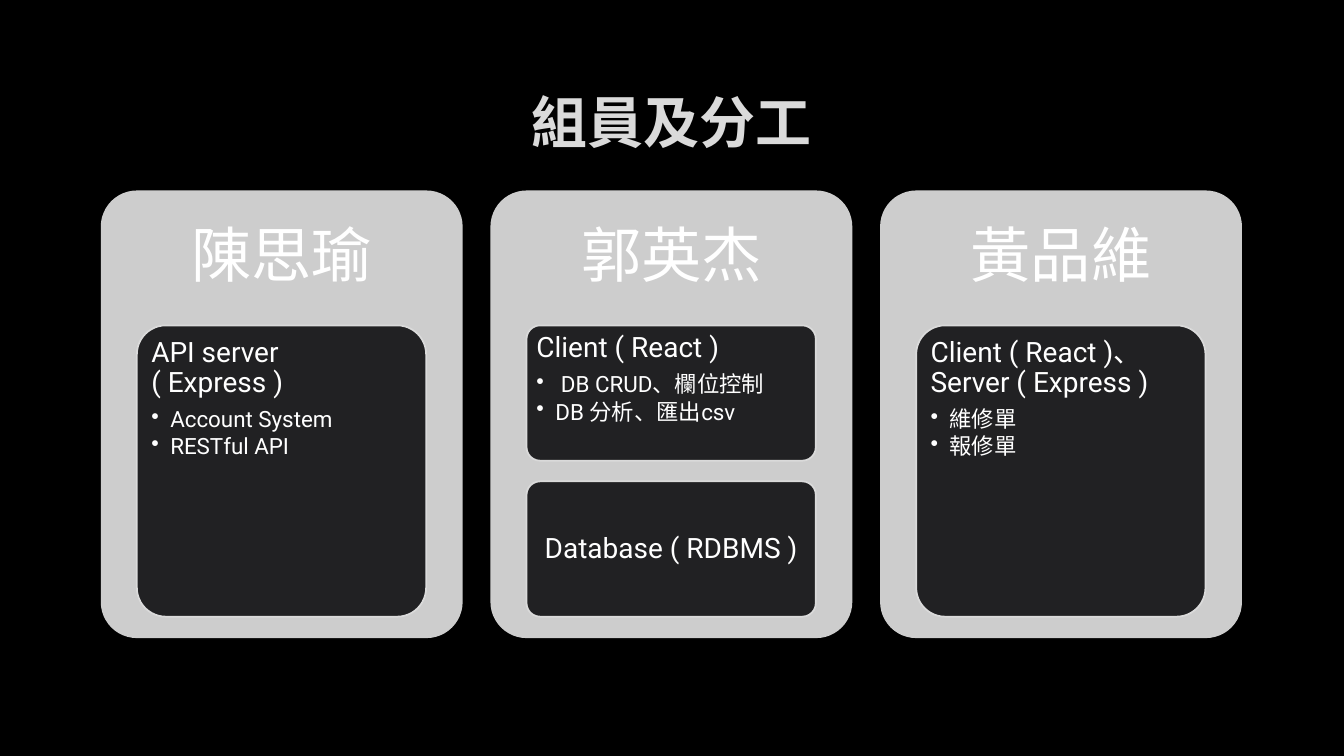
from pptx import Presentation
from pptx.dml.color import RGBColor
from pptx.enum.shapes import MSO_SHAPE
from pptx.enum.text import MSO_ANCHOR, MSO_AUTO_SIZE, PP_ALIGN
from pptx.oxml import parse_xml
from pptx.oxml.ns import nsdecls
from pptx.util import Cm, Pt

ROUND = MSO_SHAPE.ROUNDED_RECTANGLE
TOP, MIDDLE = MSO_ANCHOR.TOP, MSO_ANCHOR.MIDDLE
LEFT, CENTER = PP_ALIGN.LEFT, PP_ALIGN.CENTER
FIXED = MSO_AUTO_SIZE.NONE

BLACK = RGBColor(0x00, 0x00, 0x00)
WHITE = RGBColor(0xFF, 0xFF, 0xFF)
SILVER = RGBColor(0xDA, 0xDA, 0xDA)
GREY = RGBColor(0xCD, 0xCD, 0xCD)
DARK = RGBColor(0x21, 0x21, 0x23)

NAME = {"size": Pt(43), "space": Pt(15), "align": CENTER}
HEAD = {"size": Pt(20), "space": Pt(7), "align": LEFT}
ITEM = {"size": Pt(16), "space": Pt(2.4), "align": LEFT}

MARGIN, STEP = 2.54, 9.82
CARD_TOP, CARD_WIDE, CARD_HIGH, NAME_HIGH = 4.8, 9.12, 11.28, 3.38
PANEL_IN, PANEL_TOP, PANEL_WIDE, PANEL_HIGH, GAP = 0.91, 8.2, 7.29, 7.34, 0.52

TEAM = [
    ("陳思瑜", [("API server ( Express )", ["Account System", "RESTful API"])]),
    ("郭英杰", [
        ("Client ( React )", [" DB CRUD、欄位控制", "DB 分析、匯出csv"]),
        ("Database ( RDBMS )", []),
    ]),
    ("黃品維", [("Client ( React )、Server ( Express )", ["維修單", "報修單"])]),
]


def apply(target, values):
    for key, value in values.items():
        setattr(target, key, value)


class Deck:
    font = "Roboto"

    def __init__(self):
        self.file = Presentation()
        apply(self.file, {"slide_width": Cm(33.87), "slide_height": Cm(19.05)})
        self.slide = self.file.slides.add_slide(self.file.slide_layouts[5])
        fill = self.slide.background.fill
        fill.solid()
        fill.fore_color.rgb = BLACK

    def title(self, text, box):
        shape = self.slide.shapes.title
        apply(shape, dict(zip(("left", "top", "width", "height"), map(Cm, box))))
        apply(shape.text_frame, {"text": text, "vertical_anchor": MIDDLE,
                                 "word_wrap": True, "auto_size": FIXED})
        para = shape.text_frame.paragraphs[0]
        para.alignment = CENTER
        run = para.runs[0]
        apply(run.font, {"name": self.font, "size": Pt(40), "bold": True})
        run.font.color.rgb = SILVER
        run.font._element.insert(0, parse_xml(
            f'<a:ln {nsdecls("a")} w="9525"><a:solidFill><a:srgbClr val="404040">'
            '<a:alpha val="10000"/></a:srgbClr></a:solidFill></a:ln>'))

    def block(self, box, color, edge=None):
        shape = self.slide.shapes.add_shape(ROUND, *map(Cm, box))
        shape.shadow.inherit = False
        shape.adjustments[0] = 0.1
        shape.fill.solid()
        shape.fill.fore_color.rgb = color
        if edge is None:
            shape.line.fill.background()
        else:
            shape.line.color.rgb = edge
            shape.line.width = Pt(1.25)
        return shape

    def frame(self, shape, anchor, side, end):
        frame = shape.text_frame
        apply(frame, {"word_wrap": True, "vertical_anchor": anchor,
                      "margin_left": Cm(side), "margin_right": Cm(side),
                      "margin_top": Cm(end), "margin_bottom": Cm(end)})
        return frame

    def words(self, para, text, style):
        apply(para, {"alignment": style["align"], "line_spacing": 0.9,
                     "space_after": style["space"]})
        run = para.add_run()
        run.text = text
        apply(run.font, {"name": self.font, "size": style["size"]})
        run.font.color.rgb = WHITE

    def bullet(self, para, text):
        self.words(para, text, ITEM)
        para.level = 1
        props = para._p.get_or_add_pPr()
        props.set("marL", str(Cm(0.48)))
        props.set("indent", str(-Cm(0.48)))
        props.append(parse_xml(f'<a:buChar {nsdecls("a")} char="•"/>'))

    def label(self, text, box):
        shape = self.slide.shapes.add_textbox(*map(Cm, box))
        frame = self.frame(shape, MIDDLE, 0.46, 0.46)
        self.words(frame.paragraphs[0], text, NAME)

    def panel(self, head, items, box):
        shape = self.block(box, DARK, SILVER)
        frame = self.frame(shape, TOP if items else MIDDLE, 0.15, 0.1)
        style = HEAD if items else {**HEAD, "align": CENTER}
        self.words(frame.paragraphs[0], head, style)
        for item in items:
            self.bullet(frame.add_paragraph(), item)

    def card(self, left, name, tasks):
        self.block((left, CARD_TOP, CARD_WIDE, CARD_HIGH), GREY)
        self.label(name, (left, CARD_TOP, CARD_WIDE, NAME_HIGH))
        high = (PANEL_HIGH - GAP * (len(tasks) - 1)) / len(tasks)
        for row, (head, items) in enumerate(tasks):
            top = PANEL_TOP + row * (high + GAP)
            self.panel(head, items, (left + PANEL_IN, top, PANEL_WIDE, high))


def main():
    deck = Deck()
    deck.title("組員及分工", (MARGIN, 1.7, 28.75, 2.69))
    for col, (name, tasks) in enumerate(TEAM):
        deck.card(MARGIN + col * STEP, name, tasks)
    deck.file.save("out.pptx")


if __name__ == "__main__":
    main()
